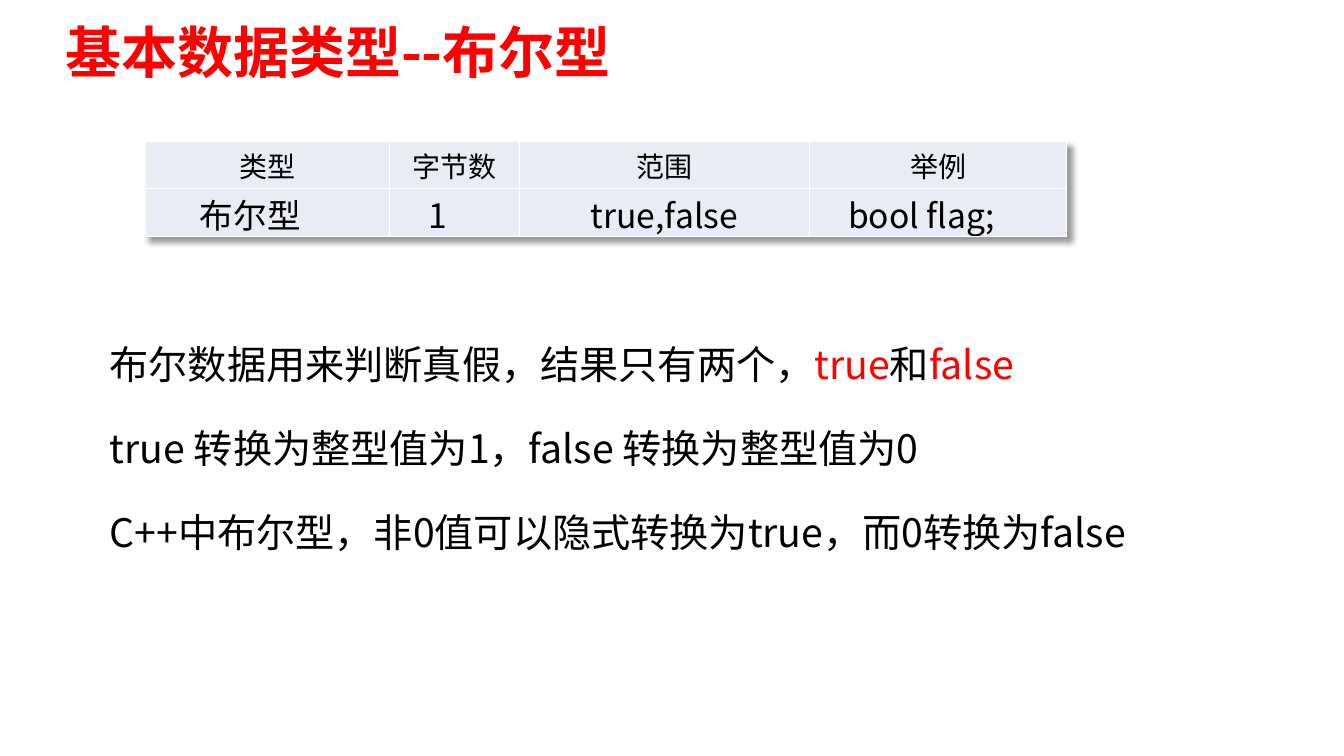
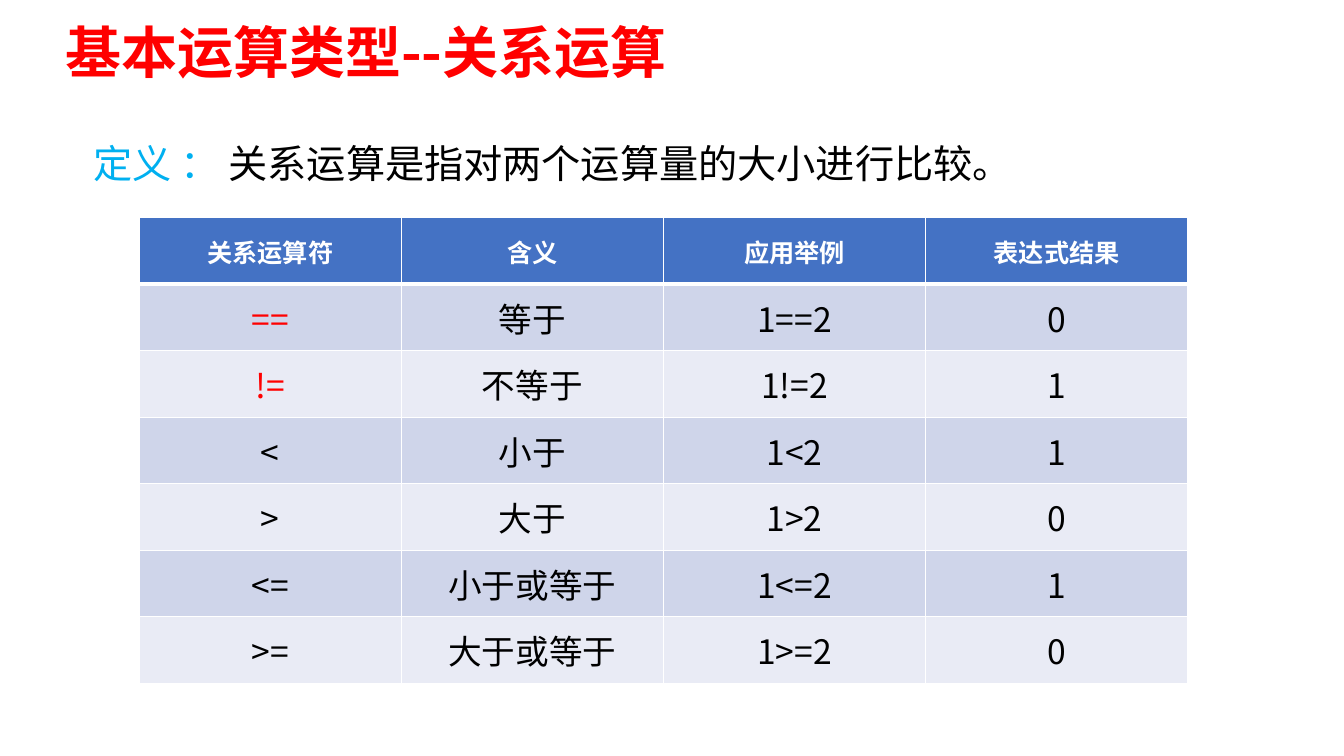
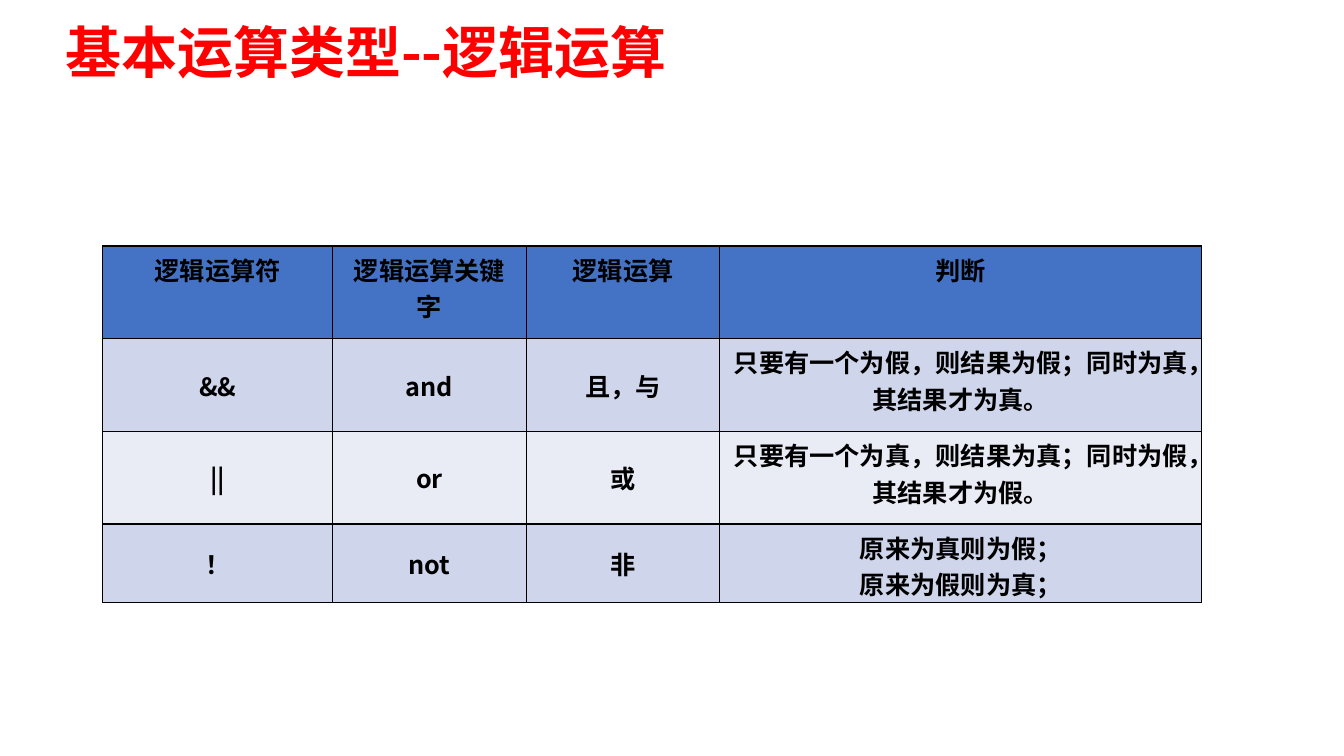
from lxml import etree
from pptx import Presentation
from pptx.dml.color import RGBColor
from pptx.enum.text import MSO_ANCHOR, MSO_AUTO_SIZE, PP_ALIGN
from pptx.oxml.ns import qn
from pptx.util import Inches, Pt

TOP, MIDDLE = MSO_ANCHOR.TOP, MSO_ANCHOR.MIDDLE
LEFT, CENTER = PP_ALIGN.LEFT, PP_ALIGN.CENTER
GROW = MSO_AUTO_SIZE.SHAPE_TO_FIT_TEXT
TITLE_ONLY = 5

FONT = "Noto Sans CJK SC"
RED, CYAN, BLACK, WHITE = "FF0000", "00B0F0", "000000", "FFFFFF"
BLUE, DARK_BAND, LIGHT_BAND = "4472C4", "CFD5EA", "E9EBF5"


def color(value):
    return RGBColor.from_string(value)


class Deck:
    """Shared style and the slide being filled."""

    def __init__(self):
        self.presentation = Presentation()
        self.presentation.slide_width = Inches(13.33)
        self.presentation.slide_height = Inches(7.5)
        self.slide = None

    def style(self, paragraph, size, fill=BLACK, bold=False, align=LEFT):
        paragraph.alignment = align
        font = paragraph.font
        font.name, font.size, font.bold = FONT, Pt(size), bold
        font.color.rgb = color(fill)
        # East Asian characters take their own typeface element
        properties = paragraph._p.pPr.find(qn("a:defRPr"))
        etree.SubElement(properties, qn("a:ea"), typeface=FONT)

    def add_slide(self, title):
        layout = self.presentation.slide_layouts[TITLE_ONLY]
        self.slide = self.presentation.slides.add_slide(layout)
        shape = self.slide.shapes.title
        shape.left, shape.top = Inches(0.55), Inches(0.12)
        shape.width, shape.height = Inches(11.37), Inches(0.77)
        frame = shape.text_frame
        frame.text = title
        frame.vertical_anchor, frame.auto_size = TOP, GROW
        self.style(frame.paragraphs[0], 40, RED, bold=True)

    def add_text(self, left, top, runs):
        """Add one line of text from (text, colour) runs."""
        shape = self.slide.shapes.add_textbox(
            Inches(left), Inches(top), Inches(11.9), Inches(0.57))
        frame = shape.text_frame
        frame.word_wrap, frame.auto_size = True, GROW
        paragraph = frame.paragraphs[0]
        self.style(paragraph, 28)
        for text, fill in runs:
            run = paragraph.add_run()
            run.text = text
            if fill != BLACK:
                run.font.color.rgb = color(fill)

    def add_table(self, left, top, widths, heights, rows):
        table = self.slide.shapes.add_table(
            len(rows), len(widths), Inches(left), Inches(top),
            Inches(sum(widths)), Inches(sum(heights))).table
        table.first_row = table.horz_banding = False
        for column, width in zip(table.columns, widths):
            column.width = Inches(width)
        for row, height, texts in zip(table.rows, heights, rows):
            row.height = Inches(height)
            for cell, text in zip(row.cells, texts):
                cell.text = text
        return table

    def format_cell(self, cell, background, size, fill=BLACK, bold=False,
                    anchor=MIDDLE, line=WHITE, top=1, bottom=1):
        cell.vertical_anchor = anchor
        for paragraph in cell.text_frame.paragraphs:
            self.style(paragraph, size, fill, bold, CENTER)
        properties = cell._tc.get_or_add_tcPr()
        for side, width in (("L", 1), ("R", 1), ("T", top), ("B", bottom)):
            border = etree.SubElement(properties, qn(f"a:ln{side}"), w=str(Pt(width)))
            solid = etree.SubElement(border, qn("a:solidFill"))
            etree.SubElement(solid, qn("a:srgbClr"), val=line)
        cell.fill.solid()
        cell.fill.fore_color.rgb = color(background)

    def add_table_shadow(self, table):
        effects = etree.SubElement(table._tbl.tblPr, qn("a:effectLst"))
        table._tbl.tblPr.insert(0, effects)
        shadow = etree.SubElement(
            effects, qn("a:outerShdw"), blurRad=str(Pt(4)), dist=str(Pt(4)),
            dir="2700000", algn="tl", rotWithShape="0")
        black = etree.SubElement(shadow, qn("a:srgbClr"), val=BLACK)
        etree.SubElement(black, qn("a:alpha"), val="40000")


def band(row):
    return DARK_BAND if row % 2 else LIGHT_BAND


def add_boolean_slide(deck):
    deck.add_slide("基本数据类型--布尔型")
    table = deck.add_table(1.44, 1.4, [2.42, 1.29, 2.88, 2.55], [0.47, 0.48], [
        ["类型", "字节数", "范围", "举例"],
        ["布尔型　", "1　", "true,false", "bool flag;　"],
    ])
    for row, size in zip(table.rows, (20, 24)):
        for cell in row.cells:
            cell.margin_left = cell.margin_right = cell.margin_top = Inches(0.01)
            cell.margin_bottom = 0
            deck.format_cell(cell, LIGHT_BAND, size)
    deck.add_table_shadow(table)

    # Explanations at equal steps
    explanations = [
        [("布尔数据用来判断真假，结果只有两个，", BLACK), ("true", RED),
         ("和", BLACK), ("false", RED)],
        [("true 转换为整型值为1，false 转换为整型值为0", BLACK)],
        [("C++中布尔型，非0值可以隐式转换为true，而0转换为false", BLACK)],
    ]
    for index, runs in enumerate(explanations):
        deck.add_text(0.99, 3.33 + 0.83 * index, runs)


def add_relation_slide(deck):
    deck.add_slide("基本运算类型--关系运算")
    deck.add_text(0.83, 1.33, [
        ("定义 ： ", CYAN), ("关系运算是指对两个运算量的大小进行比较。", BLACK)])
    operators = [
        ("==", "等于", "0"), ("!=", "不等于", "1"), ("<", "小于", "1"),
        (">", "大于", "0"), ("<=", "小于或等于", "1"), (">=", "大于或等于", "0"),
    ]
    rows = [["关系运算符", "含义", "应用举例", "表达式结果"]]
    rows += [[sign, meaning, f"1{sign}2", result]
             for sign, meaning, result in operators]
    table = deck.add_table(1.38, 2.16, [2.6] * 4, [0.66] * len(rows), rows)
    for index, row in enumerate(table.rows):
        for cell in row.cells:
            if index == 0:
                deck.format_cell(cell, BLUE, 18, WHITE, bold=True, bottom=3)
            else:
                fill = RED if cell.text in ("==", "!=") else BLACK
                deck.format_cell(cell, band(index), 24, fill,
                                 top=3 if index == 1 else 1)


def add_logic_slide(deck):
    deck.add_slide("基本运算类型--逻辑运算")
    table = deck.add_table(
        1.02, 2.44, [2.28, 1.92, 1.92, 4.78], [0.92, 0.92, 0.92, 0.78], [
            ["逻辑运算符", "逻辑运算关键字", "逻辑运算", "判断"],
            ["&&", "and", "且，与",
             "只要有一个为假，则结果为假；同时为真，其结果才为真。"],
            ["||", "or", "或",
             "只要有一个为真，则结果为真；同时为假，其结果才为假。"],
            ["！", "not", "非", "原来为真则为假；\n原来为假则为真；"],
        ])
    for index, row in enumerate(table.rows):
        for column, cell in enumerate(row.cells):
            deck.format_cell(
                cell, band(index) if index else BLUE, 18, bold=True, line=BLACK,
                anchor=TOP if index == 0 or column == 3 else MIDDLE)


def main():
    deck = Deck()
    add_boolean_slide(deck)
    add_relation_slide(deck)
    add_logic_slide(deck)
    deck.presentation.save("out.pptx")


if __name__ == "__main__":
    main()
